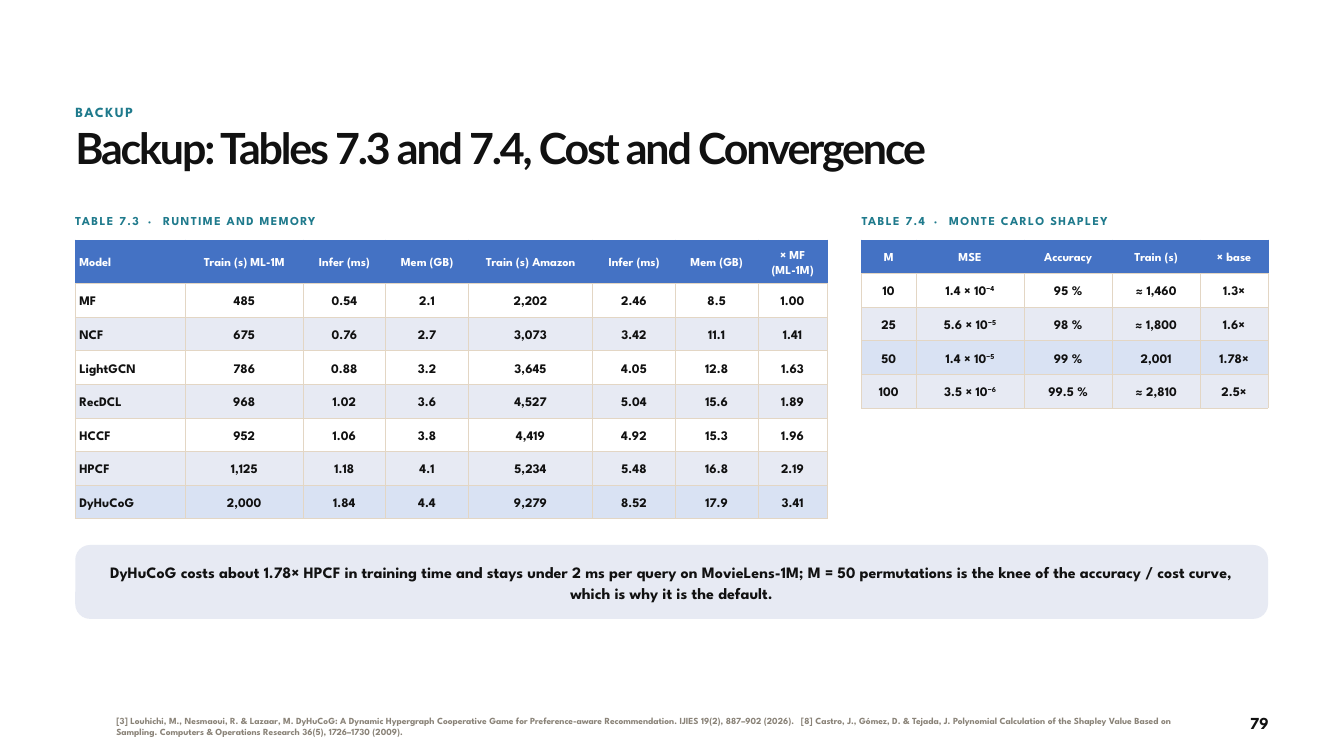
from dataclasses import dataclass
from typing import Optional

from lxml.etree import SubElement
from pptx import Presentation
from pptx.dml.color import RGBColor
from pptx.enum.shapes import MSO_SHAPE
from pptx.enum.text import MSO_ANCHOR, MSO_AUTO_SIZE, PP_ALIGN
from pptx.oxml import parse_xml
from pptx.oxml.ns import nsdecls, qn
from pptx.util import Inches, Pt

INK = RGBColor(0x11, 0x11, 0x11)
TEAL = RGBColor(0x1F, 0x7A, 0x8C)
GREY = RGBColor(0x8A, 0x83, 0x78)
WHITE = RGBColor(0xFF, 0xFF, 0xFF)
HEADER = RGBColor(0x44, 0x72, 0xC4)
BAND = RGBColor(0xE7, 0xEA, 0xF3)
HIGHLIGHT = RGBColor(0xD9, 0xE2, 0xF3)
GRID = RGBColor(0xE3, 0xD6, 0xC4)

LEFT, WIDTH = 1.12, 17.75
CAPTION_TOP, TABLE_TOP = 3.17, 3.57
ROW_HEIGHT = 0.5


@dataclass(frozen=True)
class Style:
    size: float
    line: float
    color: RGBColor = INK
    face: str = "League Spartan"
    tracking: float = 0
    align: PP_ALIGN = PP_ALIGN.LEFT
    anchor: MSO_ANCHOR = MSO_ANCHOR.TOP
    margins: tuple[float, float] = (0, 0)


@dataclass(frozen=True)
class Piece:
    """A stretch of text with its own tracking or baseline."""
    text: str
    tracking: Optional[float] = None
    baseline: int = 0


@dataclass(frozen=True)
class DataTable:
    number: str
    subject: str
    left: float
    width: float
    columns: tuple[float, ...]
    header_height: float
    highlighted: int
    named_rows: bool
    rows: tuple[str, ...]


CELL = {"anchor": MSO_ANCHOR.MIDDLE, "margins": (0.06, 0.05)}
KICKER = Style(15, 20, TEAL, tracking=1.6)
TITLE = Style(46, 50.6, face="Lato", tracking=-2.3)
CAPTION = Style(13, 16, TEAL, tracking=1.5)
TAKEAWAY = Style(17, 22, align=PP_ALIGN.CENTER, anchor=MSO_ANCHOR.MIDDLE,
                 margins=(0.4, 0.05))
CITATION = Style(10, 12, GREY, anchor=MSO_ANCHOR.MIDDLE)
PAGE_NUMBER = Style(18, 22, align=PP_ALIGN.RIGHT)

TABLES = (
    DataTable(
        "TABLE 7.3", "RUNTIME AND MEMORY", LEFT, 11.2,
        (1.64, 1.75, 1.23, 1.23, 1.85, 1.23, 1.23, 1.03), 0.65, 7, True,
        ("Model|Train (s) ML-1M|Infer (ms)|Mem (GB)|Train (s) Amazon|Infer (ms)|Mem (GB)|× MF (ML-1M)",
         "MF|485|0.54|2.1|2,202|2.46|8.5|1.00",
         "NCF|675|0.76|2.7|3,073|3.42|11.1|1.41",
         "LightGCN|786|0.88|3.2|3,645|4.05|12.8|1.63",
         "RecDCL|968|1.02|3.6|4,527|5.04|15.6|1.89",
         "HCCF|952|1.06|3.8|4,419|4.92|15.3|1.96",
         "HPCF|1,125|1.18|4.1|5,234|5.48|16.8|2.19",
         "DyHuCoG|2,000|1.84|4.4|9,279|8.52|17.9|3.41")),
    DataTable(
        "TABLE 7.4", "MONTE CARLO SHAPLEY", 12.82, 6.05,
        (0.81, 1.61, 1.31, 1.31, 1.01), ROW_HEIGHT, 3, False,
        ("M|MSE|Accuracy|Train (s)|× base",
         "10|1.4 × 10^−4|95 %|≈ 1,460|1.3×",
         "25|5.6 × 10^−5|98 %|≈ 1,800|1.6×",
         "50|1.4 × 10^−5|99 %|2,001|1.78×",
         "100|3.5 × 10^−6|99.5 %|≈ 2,810|2.5×")),
)


def write(frame, style: Style, *pieces: Piece) -> None:
    paragraph = frame.paragraphs[0]
    paragraph.alignment = style.align
    paragraph.line_spacing = Pt(style.line)
    for piece in pieces:
        run = paragraph.add_run()
        run.text = piece.text
        font_format = {"name": style.face, "size": Pt(style.size), "bold": True}
        for attribute, value in font_format.items():
            setattr(run.font, attribute, value)
        run.font.color.rgb = style.color
        tracking = style.tracking if piece.tracking is None else piece.tracking
        properties = run._r.get_or_add_rPr()
        if tracking:
            properties.set("spc", str(round(tracking * 100)))
        if piece.baseline:
            properties.set("baseline", str(piece.baseline * 1000))


def fill_shape(shape, style: Style, *pieces: Piece) -> None:
    """Set up the shape's text frame and write into it."""
    frame = shape.text_frame
    side, end = (Inches(margin) for margin in style.margins)
    frame_format = {"word_wrap": True, "auto_size": MSO_AUTO_SIZE.NONE,
                    "vertical_anchor": style.anchor,
                    "margin_left": side, "margin_right": side,
                    "margin_top": end, "margin_bottom": end}
    for attribute, value in frame_format.items():
        setattr(frame, attribute, value)
    write(frame, style, *pieces)


def add_text(slide, box: tuple[float, ...], style: Style, *pieces: Piece) -> None:
    fill_shape(slide.shapes.add_textbox(*map(Inches, box)), style, *pieces)


def set_borders(cell, color: RGBColor) -> None:
    properties = cell._tc.get_or_add_tcPr()
    for position, side in enumerate(("lnL", "lnR", "lnT", "lnB")):
        border = parse_xml(f'<a:{side} {nsdecls("a")} w="{Pt(1)}"/>')
        fill = SubElement(border, qn("a:solidFill"))
        SubElement(fill, qn("a:srgbClr")).set("val", str(color))
        properties.insert(position, border)


def fill_cell(cell, text: str, style: Style, fill: RGBColor, border: RGBColor) -> None:
    """Write one cell; a caret in the text starts a superscript."""
    side, end = (Inches(margin) for margin in style.margins)
    cell_format = {"vertical_anchor": style.anchor,
                   "margin_left": side, "margin_right": side,
                   "margin_top": end, "margin_bottom": end}
    for attribute, value in cell_format.items():
        setattr(cell, attribute, value)
    cell.fill.solid()
    cell.fill.fore_color.rgb = fill
    set_borders(cell, border)
    base, _, exponent = text.partition("^")
    pieces = [Piece(base)] + ([Piece(exponent, baseline=30)] if exponent else [])
    write(cell.text_frame, style, *pieces)


def add_data_table(slide, data: DataTable) -> None:
    add_text(slide, (data.left, CAPTION_TOP, data.width, 0.35), CAPTION,
             Piece(data.number), Piece(" · ", tracking=4.6), Piece(data.subject))
    heights = [data.header_height] + [ROW_HEIGHT] * (len(data.rows) - 1)
    table = slide.shapes.add_table(
        len(data.rows), len(data.columns), Inches(data.left), Inches(TABLE_TOP),
        Inches(data.width), Inches(sum(heights))).table
    for column, width in zip(table.columns, data.columns):
        column.width = Inches(width)
    for index, (row, height) in enumerate(zip(table.rows, heights)):
        row.height = Inches(height)
        is_header = index == 0
        if is_header:
            size, line, color, fill, border = 13, 16.9, WHITE, HEADER, HEADER
        else:
            size, line, color, border = 14, 18.2, INK, GRID
            fill = BAND if index % 2 == 0 else WHITE
            if index == data.highlighted:
                fill = HIGHLIGHT
        for position, text in enumerate(data.rows[index].split("|")):
            is_name = data.named_rows and position == 0
            align = PP_ALIGN.LEFT if is_name else PP_ALIGN.CENTER
            style = Style(size, line, color, align=align, **CELL)
            fill_cell(table.cell(index, position), text, style, fill, border)


def add_takeaway(slide, text: str) -> None:
    panel = slide.shapes.add_shape(MSO_SHAPE.ROUNDED_RECTANGLE, Inches(LEFT),
                                   Inches(8.11), Inches(WIDTH), Inches(1.1))
    panel.adjustments[0] = 0.2
    panel.shadow.inherit = False
    panel.fill.solid()
    panel.fill.fore_color.rgb = BAND
    panel.line.fill.background()
    fill_shape(panel, TAKEAWAY, Piece(text))


def main() -> None:
    deck = Presentation()
    deck.slide_width, deck.slide_height = Inches(20), Inches(11.25)
    slide = deck.slides.add_slide(deck.slide_layouts[5])

    title = slide.shapes.title
    title.left, title.top = Inches(LEFT), Inches(1.88)
    title.width, title.height = Inches(WIDTH), Inches(0.8)
    fill_shape(title, TITLE, Piece("Backup: Tables 7.3 and 7.4, Cost and Convergence"))
    add_text(slide, (LEFT, 1.52, 14.15, 0.36), KICKER, Piece("BACKUP"))

    for data in TABLES:
        add_data_table(slide, data)
    add_takeaway(slide, "DyHuCoG costs about 1.78× HPCF in training time and stays under 2 ms per query "
                        "on MovieLens-1M; M = 50 permutations is the knee of the accuracy / cost curve, "
                        "which is why it is the default.")

    add_text(slide, (1.73, 10.5, 15.85, 0.62), CITATION,
             Piece("[3] Louhichi, M., Nesmaoui, R. & Lazaar, M. DyHuCoG: A Dynamic Hypergraph Cooperative Game "
                   "for Preference-aware Recommendation. IJIES 19(2), 887–902 (2026)."),
             Piece(" ", tracking=5),
             Piece("[8] Castro, J., Gómez, D. & Tejada, J. Polynomial Calculation of the Shapley Value "
                   "Based on Sampling. Computers & Operations Research 36(5), 1726–1730 (2009)."))
    add_text(slide, (17.68, 10.6, 1.2, 0.36), PAGE_NUMBER, Piece("79"))
    deck.save("out.pptx")


if __name__ == "__main__":
    main()
